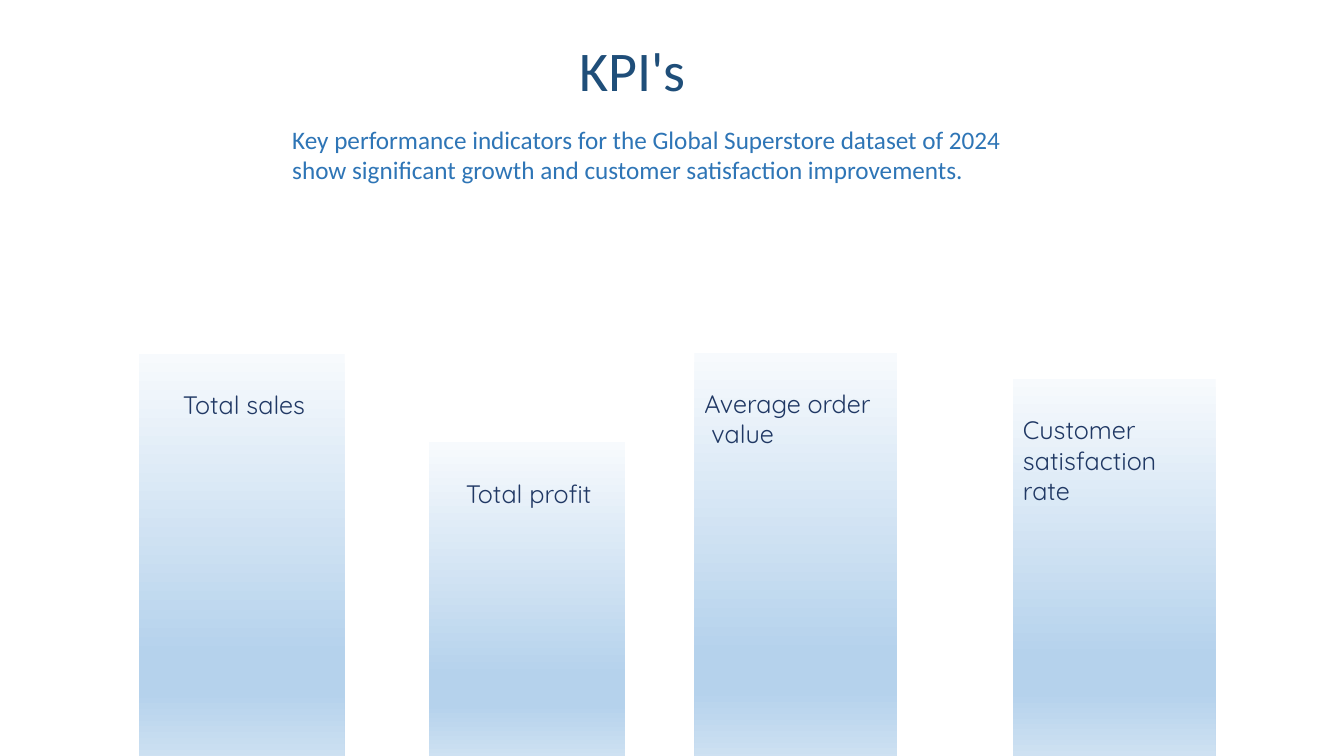
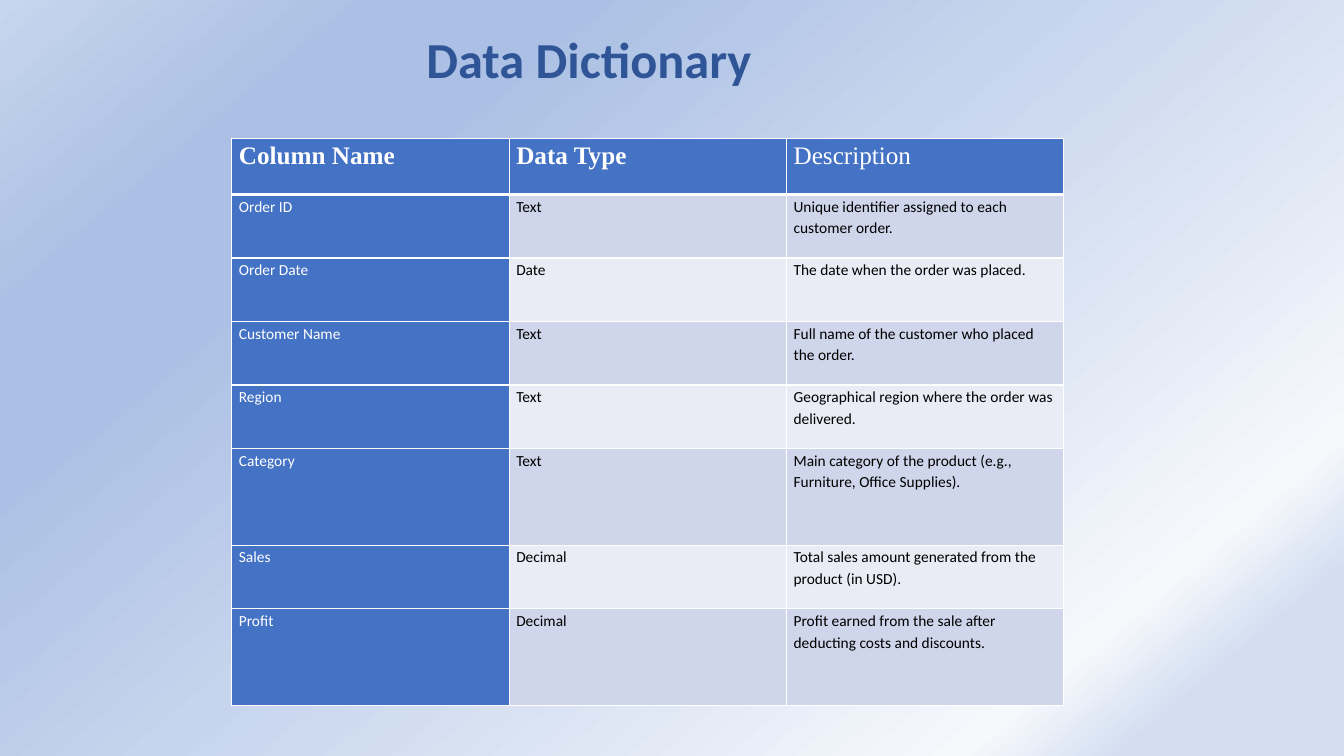
from lxml import etree
from pptx import Presentation
from pptx.dml.color import RGBColor
from pptx.enum.shapes import MSO_SHAPE
from pptx.enum.text import MSO_ANCHOR, MSO_AUTO_SIZE, PP_ALIGN
from pptx.oxml.ns import qn
from pptx.util import Cm, Pt

RECTANGLE = MSO_SHAPE.RECTANGLE
TOP = MSO_ANCHOR.TOP
LEFT = PP_ALIGN.LEFT
FIXED_SIZE = MSO_AUTO_SIZE.NONE

TITLE_AND_BODY, TITLE_ONLY = 1, 5
BODY_FONT, LABEL_FONT, HEADER_FONT = "Calibri", "Quicksand", "Times New Roman"
WHITE, BLACK = "FFFFFF", "000000"
KPI_TITLE, KPI_SUMMARY, BAR_LABEL = "1F4E79", "2E75B6", "203864"
DICTIONARY_TITLE, TABLE_HEAD = "2F5597", "4472C4"
ROW_BANDS = ("CFD5EA", "E9EBF5")
BAR_STOPS = ((0, "F7FAFD"), (74, "B5D2EC"), (83, "B5D2EC"), (100, "CEE1F2"))
BACKDROP_STOPS = ((10, "D3DEF1"), (17, "F6F8FC"), (53, "C6D4ED"),
                  (74, "ABC0E4"), (83, "ABC0E4"), (100, "C7D5ED"))

KPI_BARS = (
    ("Total sales", (3.51, 8.92, 5.18, 10.26), 0.85, 0),
    ("Total profit", (10.8, 11.15, 4.95, 7.95), 0.69, 0),
    ("Average order value", (17.5, 8.89, 5.11, 10.26), 0.18, -0.18),
    ("Customer satisfaction rate", (25.53, 9.55, 5.11, 9.5), 0, 0),
)

DICTIONARY = (
    ("Column Name", "Data Type", "Description"),
    ("Order ID", "Text", "Unique identifier assigned to each customer order."),
    ("Order Date", "Date", "The date when the order was placed."),
    ("Customer Name", "Text", "Full name of the customer who placed the order."),
    ("Region", "Text", "Geographical region where the order was delivered."),
    ("Category", "Text",
     "Main category of the product (e.g., Furniture, Office Supplies)."),
    ("Sales", "Decimal", "Total sales amount generated from the product (in USD)."),
    ("Profit", "Decimal",
     "Profit earned from the sale after deducting costs and discounts."),
)
ROW_HEIGHTS = (1.42, 1.6, 1.6, 1.6, 1.6, 2.44, 1.6, 2.44)
COLUMN_WIDTH = 6.99


def colour(hex_code):
    return RGBColor.from_string(hex_code)


def write(frame, text, font, size, hex_code, bold=False):
    frame.text = text
    paragraph = frame.paragraphs[0]
    paragraph.alignment = LEFT
    style = paragraph.runs[0].font
    style.name, style.size, style.bold = font, Pt(size), bold
    style.color.rgb = colour(hex_code)
    return paragraph


def set_indent(paragraph, margin, first_line):
    properties = paragraph._p.get_or_add_pPr()
    properties.set("marL", str(Cm(margin)))
    properties.set("indent", str(Cm(first_line)))
    return properties


def set_gradient(owner, fill, stops, angle):
    fill.gradient()
    fill.gradient_angle = angle
    stop_list = owner.element.find(".//" + qn("a:gsLst"))
    stop_list.clear()
    for position, hex_code in stops:
        stop = etree.SubElement(stop_list, qn("a:gs"), pos=str(position * 1000))
        etree.SubElement(stop, qn("a:srgbClr"), val=hex_code)


def fill_placeholder(placeholder, box, text, size, hex_code, bold=False):
    placeholder.left, placeholder.top, placeholder.width, placeholder.height = map(Cm, box)
    frame = placeholder.text_frame
    frame.word_wrap = True
    frame.auto_size = FIXED_SIZE
    frame.vertical_anchor = TOP
    paragraph = write(frame, text, BODY_FONT, size, hex_code, bold)
    paragraph.space_before = Pt(0)
    return paragraph


def add_kpi_bar(slide, label, box, margin, first_line):
    bar = slide.shapes.add_shape(RECTANGLE, *map(Cm, box))
    bar.shadow.inherit = False
    bar.line.fill.background()
    set_gradient(bar, bar.fill, BAR_STOPS, 270)
    frame = bar.text_frame
    frame.word_wrap = True
    frame.vertical_anchor = TOP
    frame.margin_top = Cm(0.9)
    set_indent(write(frame, label, LABEL_FONT, 18, BAR_LABEL), margin, first_line)


def set_borders(cell, bottom_width):
    properties = cell._tc.get_or_add_tcPr()
    for index, (side, width) in enumerate(
            (("L", 1), ("R", 1), ("T", 1), ("B", bottom_width))):
        border = etree.Element(qn("a:ln" + side), w=str(Pt(width)))
        solid = etree.SubElement(border, qn("a:solidFill"))
        etree.SubElement(solid, qn("a:srgbClr"), val=WHITE)
        properties.insert(index, border)


def format_cell(cell, text, row, column):
    is_header = row == 0
    is_head = is_header or column == 0
    cell.margin_left = cell.margin_right = Cm(0.18)
    cell.margin_top = cell.margin_bottom = 0
    cell.fill.solid()
    cell.fill.fore_color.rgb = colour(TABLE_HEAD if is_head else ROW_BANDS[(row - 1) % 2])
    set_borders(cell, 3 if is_header else 1)
    paragraph = write(cell.text_frame, text,
                      HEADER_FONT if is_header else BODY_FONT,
                      18 if is_header else 11,
                      WHITE if is_head else BLACK,
                      is_header and column < 2)
    paragraph.line_spacing = 1.15
    paragraph.space_after = Pt(10)


def add_dictionary_table(slide):
    columns = len(DICTIONARY[0])
    table = slide.shapes.add_table(
        len(DICTIONARY), columns, Cm(5.84), Cm(3.48),
        Cm(COLUMN_WIDTH * columns), Cm(sum(ROW_HEIGHTS))).table
    for column in table.columns:
        column.width = Cm(COLUMN_WIDTH)
    for row, (entries, height) in enumerate(zip(DICTIONARY, ROW_HEIGHTS)):
        table.rows[row].height = Cm(height)
        for column, text in enumerate(entries):
            format_cell(table.cell(row, column), text, row, column)


def build_kpi_slide(deck):
    slide = deck.slides.add_slide(deck.slide_layouts[TITLE_AND_BODY])
    fill_placeholder(slide.shapes.title, (14.35, 0.76, 16.94, 1.96),
                     "KPI's", 40, KPI_TITLE)
    summary = fill_placeholder(
        slide.placeholders[1], (7.11, 3, 18.42, 1.8),
        "Key performance indicators for the Global Superstore dataset of 2024 "
        "show significant growth and customer satisfaction improvements.",
        18, KPI_SUMMARY)
    etree.SubElement(set_indent(summary, 0, 0), qn("a:buNone"))
    for bar in KPI_BARS:
        add_kpi_bar(slide, *bar)


def build_dictionary_slide(deck):
    slide = deck.slides.add_slide(deck.slide_layouts[TITLE_ONLY])
    set_gradient(slide, slide.background.fill, BACKDROP_STOPS, 130)
    add_dictionary_table(slide)
    fill_placeholder(slide.shapes.title, (10.49, 0.58, 11.61, 1.8),
                     "Data Dictionary", 36, DICTIONARY_TITLE, True)


def main():
    deck = Presentation()
    deck.slide_width, deck.slide_height = Cm(33.87), Cm(19.05)
    build_kpi_slide(deck)
    build_dictionary_slide(deck)
    deck.save("out.pptx")


if __name__ == "__main__":
    main()
